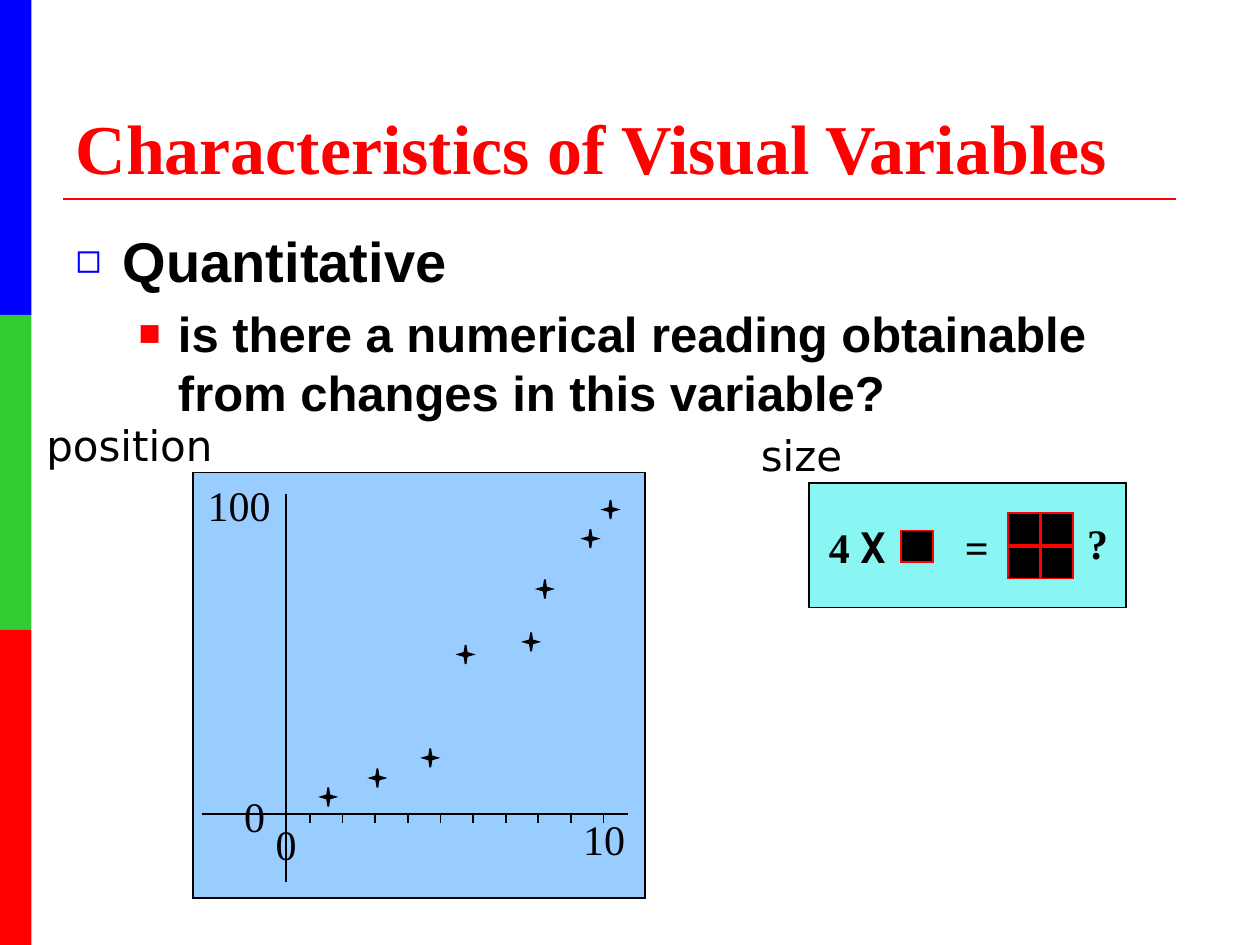
from dataclasses import dataclass

from lxml import etree
from pptx import Presentation
from pptx.dml.color import RGBColor
from pptx.enum.shapes import MSO_CONNECTOR, MSO_SHAPE
from pptx.enum.text import MSO_ANCHOR, MSO_AUTO_SIZE, PP_ALIGN
from pptx.oxml.ns import qn
from pptx.util import Pt

RECTANGLE = MSO_SHAPE.RECTANGLE
STAR = MSO_SHAPE.STAR_4_POINT
STRAIGHT = MSO_CONNECTOR.STRAIGHT
LEFT = PP_ALIGN.LEFT
TOP, BOTTOM = MSO_ANCHOR.TOP, MSO_ANCHOR.BOTTOM
NO_AUTOFIT = MSO_AUTO_SIZE.NONE


@dataclass(frozen=True)
class Theme:
    red: str = "FF0000"
    green: str = "33CC33"
    blue: str = "0000FF"
    ink: str = "000000"
    plot: str = "99CCFF"
    equation: str = "8AF6F3"
    serif: str = "Times New Roman"
    sans: str = "Arial"
    label: str = "DejaVu Sans"
    mono: str = "DejaVu Sans Mono"
    title_size: float = 40
    body_sizes: tuple = (32, 28)
    label_size: float = 24


class SlideBuilder:
    """Holds the theme, the slide and the shape collection being filled."""

    def __init__(self, slide, theme):
        self.slide = slide
        self.theme = theme
        self.shapes = slide.shapes

    def start_group(self):
        self.shapes = self.slide.shapes.add_group_shape().shapes

    def end_group(self):
        self.shapes = self.slide.shapes

    def place(self, shape, left, top, width, height):
        shape.left, shape.top = Pt(left), Pt(top)
        shape.width, shape.height = Pt(width), Pt(height)

    def run(self, paragraph, text, font, size, color, bold=False):
        run = paragraph.add_run()
        run.text = text
        run.font.name = font
        run.font.size = Pt(size)
        run.font.bold = bold
        run.font.color.rgb = RGBColor.from_string(color)

    def title(self, text, *box):
        shape = self.slide.shapes.title
        self.place(shape, *box)
        frame = shape.text_frame
        frame.auto_size = NO_AUTOFIT
        frame.vertical_anchor = BOTTOM
        paragraph = frame.paragraphs[0]
        paragraph.alignment = LEFT
        self.run(paragraph, text, self.theme.serif, self.theme.title_size,
                 self.theme.red, bold=True)

    def bullets(self, items, *box):
        """Each item is text, level, left margin, hang, symbol, symbol colour."""
        shape = self.slide.placeholders[1]
        self.place(shape, *box)
        frame = shape.text_frame
        frame.auto_size = NO_AUTOFIT
        frame.vertical_anchor = TOP
        for index, (text, level, margin, hang, symbol, color) in enumerate(items):
            paragraph = frame.add_paragraph() if index else frame.paragraphs[0]
            size = self.theme.body_sizes[level]
            paragraph.level = level
            paragraph.space_before = Pt(0.2 * size if index else 0)
            properties = paragraph._p.get_or_add_pPr()
            properties.set("marL", str(Pt(margin)))
            properties.set("indent", str(-Pt(hang)))
            bullet_color = etree.SubElement(properties, qn("a:buClr"))
            etree.SubElement(bullet_color, qn("a:srgbClr"), val=color)
            etree.SubElement(properties, qn("a:buSzPct"), val="75000")
            etree.SubElement(properties, qn("a:buChar"), char=symbol)
            self.run(paragraph, text, self.theme.sans, size, self.theme.ink, bold=True)

    def shape(self, kind, fill, left, top, width, height, line=None):
        shape = self.shapes.add_shape(kind, Pt(left), Pt(top), Pt(width), Pt(height))
        shape.shadow.inherit = False
        shape.fill.solid()
        shape.fill.fore_color.rgb = RGBColor.from_string(fill)
        if line:
            shape.line.color.rgb = RGBColor.from_string(line)
            shape.line.width = Pt(1)
            outline = shape.line._get_or_add_ln()
            etree.SubElement(outline, qn("a:miter"), lim="800000")
        else:
            shape.line.fill.background()
        return shape

    def line(self, x1, y1, x2, y2, color, width=1):
        line = self.shapes.add_connector(STRAIGHT, Pt(x1), Pt(y1), Pt(x2), Pt(y2))
        line.line.color.rgb = RGBColor.from_string(color)
        line.line.width = Pt(width)
        etree.SubElement(line._element.spPr, qn("a:effectLst"))

    def text(self, pieces, left, top, width, bold=False, wrap=False):
        """Pieces are (text, font) pairs on one line."""
        box = self.shapes.add_textbox(Pt(left), Pt(top), Pt(width), Pt(36))
        box.text_frame.word_wrap = wrap
        paragraph = box.text_frame.paragraphs[0]
        for text, font in pieces:
            self.run(paragraph, text, font, self.theme.label_size, self.theme.ink, bold)


def add_scatter(builder):
    theme = builder.theme
    axis_y = 465.1
    builder.start_group()
    builder.shape(RECTANGLE, theme.plot, 110.2, 270, 258.5, 243, theme.ink)

    # Axes and their end labels
    builder.line(163.4, 282.2, 163.4, 504, theme.ink)
    builder.line(115.2, axis_y, 358.6, axis_y, theme.ink)
    for text, left, top, width in (("100", 111.6, 270.7, 50.4), ("0", 132.5, 448, 26.6),
                                   ("10", 326.2, 461.5, 38.2), ("0", 150.5, 464.4, 26.6)):
        builder.text([(text, theme.serif)], left, top, width)

    # Data markers, by their left and top
    for left, top in ((183.6, 450), (211.7, 439.2), (241.9, 427.7), (262.1, 368.6),
                      (299.5, 361.4), (307.4, 331.2), (333.4, 302.4), (344.9, 285.8)):
        marker = builder.shape(STAR, theme.ink, left, top, 8, 10.8, theme.ink)
        marker.adjustments[0] = 0.125

    # Evenly spaced ticks
    for index in range(10):
        x = 177.1 + 18.64 * index
        builder.line(x, axis_y, x, axis_y + 5, theme.ink)
    builder.end_group()


def add_equation(builder):
    theme = builder.theme
    side = 18.2
    builder.start_group()
    builder.shape(RECTANGLE, theme.equation, 462.2, 275.8, 181.4, 71.3, theme.ink)

    # One unit square, then the two by two block
    squares = [(514.8, 303.1)]
    squares += [(576.2 + 18.6 * column, 293.2 + 19.2 * row)
                for row in range(2) for column in range(2)]
    for left, top in squares:
        builder.shape(RECTANGLE, theme.ink, left, top, side, side, theme.red)

    # Signs around the squares
    builder.text([("=", theme.serif)], 544.3, 294.5, 28.1, bold=True)
    builder.text([("4 ", theme.serif), ("X", theme.mono)], 466.6, 294.5, 46.8, bold=True)
    builder.text([("?", theme.serif)], 614.2, 292.3, 26.6, bold=True)
    builder.end_group()


def main():
    presentation = Presentation()
    presentation.slide_width, presentation.slide_height = Pt(720), Pt(540)
    theme = Theme()
    slide = presentation.slides.add_slide(presentation.slide_layouts[1])
    builder = SlideBuilder(slide, theme)

    # Side stripe and title rule
    for index, color in enumerate((theme.blue, theme.green, theme.red)):
        builder.shape(RECTANGLE, color, 0, 180 * index, 18, 180)
    builder.line(36, 113.8, 672, 113.8, theme.red, 1.5)

    # Title and list
    builder.title("Characteristics of Visual Variables", 36, 21.6, 648, 90)
    builder.bullets((
        ("Quantitative", 0, 27, 27, "◻", theme.blue),
        ("is there a numerical reading obtainable from changes in this variable?",
         1, 58.5, 22.5, "■", theme.red),
    ), 36, 126, 648, 126.7)

    # The two examples with their headings
    add_scatter(builder)
    builder.text([("position", theme.label)], 19.4, 236.2, 141.8, wrap=True)
    add_equation(builder)
    builder.text([("size", theme.label)], 427.7, 241.9, 102.2, wrap=True)

    presentation.save("out.pptx")


if __name__ == "__main__":
    main()
